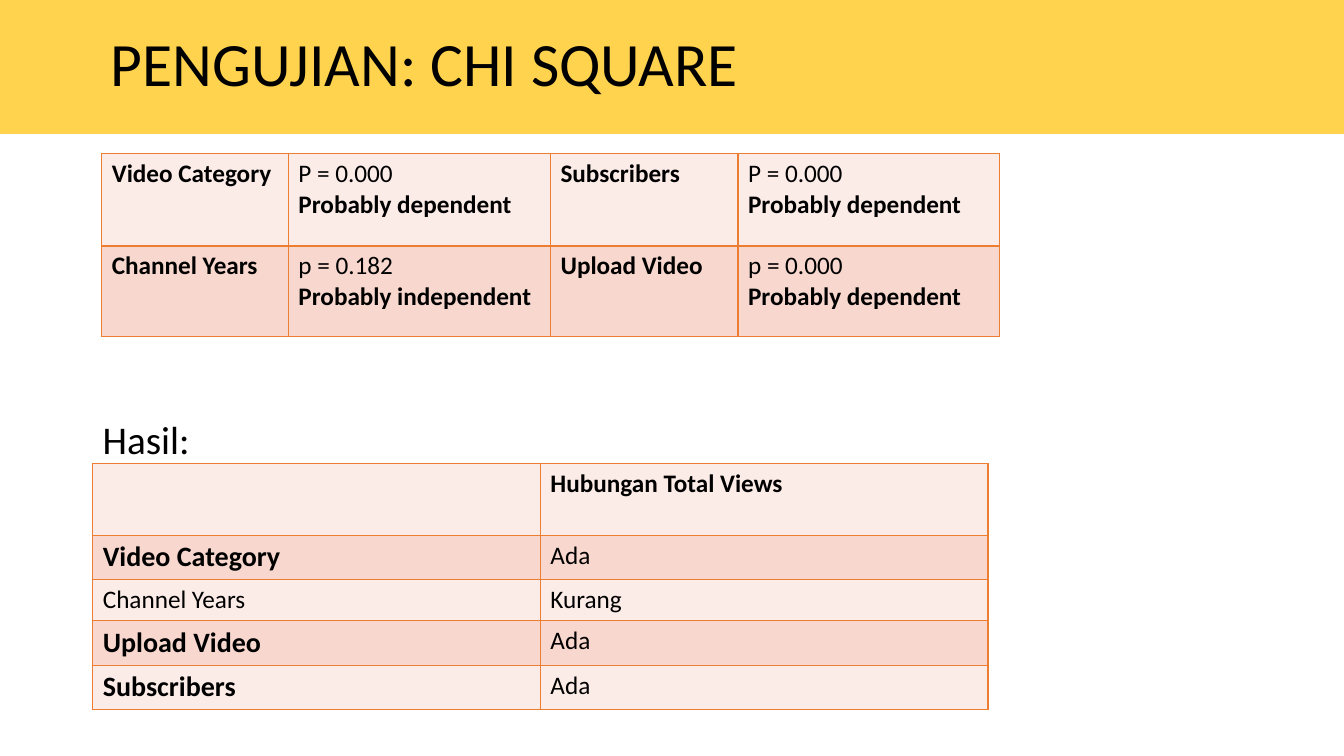
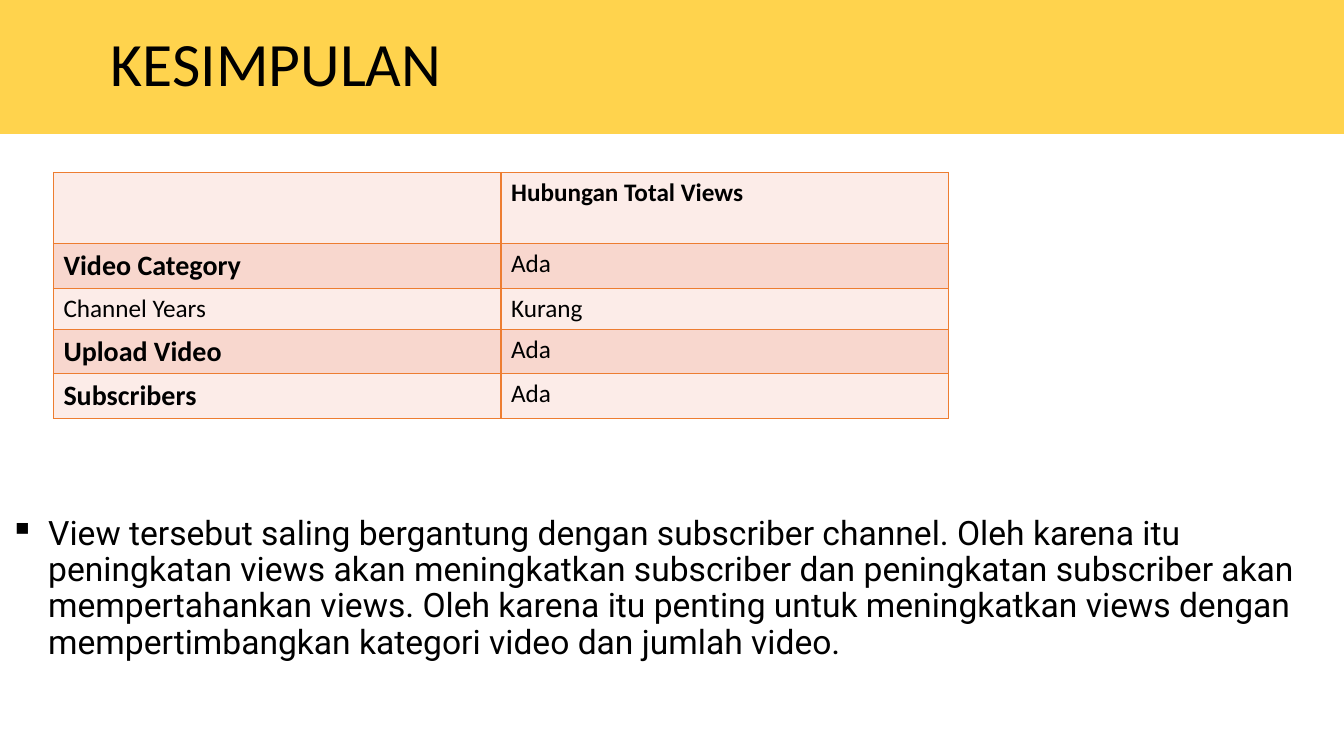
"""Build two slides on chi-square results and their conclusion."""
from lxml import etree
from pptx import Presentation
from pptx.dml.color import RGBColor
from pptx.enum.shapes import MSO_SHAPE
from pptx.enum.text import MSO_ANCHOR, PP_ALIGN
from pptx.oxml import parse_xml
from pptx.oxml.ns import nsdecls, qn
from pptx.util import Inches, Pt

RECT = MSO_SHAPE.RECTANGLE
TOP, MIDDLE = MSO_ANCHOR.TOP, MSO_ANCHOR.MIDDLE
LEFT = PP_ALIGN.LEFT
BLACK = RGBColor(0x00, 0x00, 0x00)
WHITE = RGBColor(0xFF, 0xFF, 0xFF)
YELLOW = RGBColor(0xFF, 0xD3, 0x4D)
ORANGE = RGBColor(0xED, 0x7D, 0x31)
BANDS = (RGBColor(0xFC, 0xEC, 0xE8), RGBColor(0xF8, 0xD7, 0xCE))


def write(tf, text, size=18, bold=False, font="Calibri", spacing=None, anchor=TOP):
    """Fill a text frame; a lone bold value applies to every line."""
    tf.word_wrap = True
    tf.vertical_anchor = anchor
    lines = text.split("\n")
    weights = bold if isinstance(bold, tuple) else (bold,) * len(lines)
    for i, (line, weight) in enumerate(zip(lines, weights)):
        p = tf.paragraphs[0] if i == 0 else tf.add_paragraph()
        p.alignment = LEFT
        p.line_spacing = spacing
        p.font.size = Pt(size)
        r = p.add_run()
        r.text = line
        r.font.name = font
        r.font.size = Pt(size)
        r.font.bold = weight
        r.font.color.rgb = BLACK


def add_grid(s, left, top, widths, heights, rows):
    """Add a banded, bordered table whose cells are (text, size, bold)."""
    table = s.shapes.add_table(
        len(heights), len(widths), Inches(left), Inches(top),
        Inches(sum(widths)), Inches(sum(heights))).table
    table.first_row = False
    table.horz_banding = False
    for column, width in zip(table.columns, widths):
        column.width = Inches(width)
    for i, (height, row) in enumerate(zip(heights, rows)):
        table.rows[i].height = Inches(height)
        for j, (text, size, bold) in enumerate(row):
            cell = table.cell(i, j)
            cell.fill.solid()
            cell.fill.fore_color.rgb = BANDS[i % 2]
            if text:
                write(cell.text_frame, text, size, bold)
            tc_pr = cell._tc.get_or_add_tcPr()
            for k, side in enumerate(("lnL", "lnR", "lnT", "lnB")):
                tc_pr.insert(k, parse_xml(
                    f'<a:{side} {nsdecls("a")} w="{Pt(1)}"><a:solidFill>'
                    f'<a:srgbClr val="{ORANGE}"/></a:solidFill></a:{side}>'))


prs = Presentation()
prs.slide_width = Inches(13.33)
prs.slide_height = Inches(7.5)

slides = []
for title in ("PENGUJIAN: CHI SQUARE", "KESIMPULAN"):
    s = prs.slides.add_slide(prs.slide_layouts[6])
    band = s.shapes.add_shape(RECT, 0, 0, prs.slide_width, Inches(1.33))
    band.shadow.inherit = False
    band.fill.solid()
    band.fill.fore_color.rgb = YELLOW
    band.line.fill.background()
    band.text_frame.margin_left = Inches(1.1)
    write(band.text_frame, title, 44, spacing=0.9, anchor=MIDDLE)
    slides.append(s)
test_slide, conclusion_slide = slides

heading = test_slide.shapes.add_textbox(
    Inches(0.92), Inches(4.12), Inches(8.89), Inches(2.63))
write(heading.text_frame, "Hasil:", 28, spacing=0.9)

tests = (
    (("Video Category", "P = 0.000\nProbably dependent"),
     ("Subscribers", "P = 0.000\nProbably dependent")),
    (("Channel Years", "p = 0.182\nProbably independent"),
     ("Upload Video", "p = 0.000\nProbably dependent")),
)
test_rows = [
    [cell for name, result in row
     for cell in ((name, 18, True), (result, 18, (False, True)))]
    for row in tests]
add_grid(test_slide, 1.01, 1.52, (1.85, 2.6, 1.86, 2.59), (0.92, 0.9), test_rows)

relations = (("Video Category", "Ada"), ("Channel Years", "Kurang"),
             ("Upload Video", "Ada"), ("Subscribers", "Ada"))
relation_rows = [[("", 18, False), ("Hubungan Total Views", 18, True)]]
for name, relation in relations:
    related = relation == "Ada"
    relation_rows.append(
        [(name, 20 if related else 18, related), (relation, 18, False)])
for s, left, top in ((test_slide, 0.92, 4.6), (conclusion_slide, 0.53, 1.71)):
    add_grid(s, left, top, (4.44, 4.44), (0.71, 0.44, 0.41, 0.44, 0.44),
             relation_rows)

summary = conclusion_slide.shapes.add_shape(
    RECT, 0, Inches(4.32), prs.slide_width, Inches(2.67))
summary.shadow.inherit = False
summary.fill.solid()
summary.fill.fore_color.rgb = WHITE
summary.line.fill.background()
tf = summary.text_frame
tf.margin_top = Inches(0.42)
write(tf, "View tersebut saling bergantung dengan subscriber channel. "
      "Oleh karena itu peningkatan views akan meningkatkan subscriber dan "
      "peningkatan subscriber akan mempertahankan views. Oleh karena itu "
      "penting untuk meningkatkan views dengan mempertimbangkan kategori "
      "video dan jumlah video.", 24, font="Roboto", spacing=0.9, anchor=MIDDLE)
p_pr = tf.paragraphs[0]._p.get_or_add_pPr()
p_pr.set("marL", str(Inches(0.38)))
p_pr.set("indent", str(-Inches(0.38)))
bullet = etree.Element(qn("a:buChar"), char="▪")
p_pr.find(qn("a:lnSpc")).addnext(bullet)

prs.save("out.pptx")
